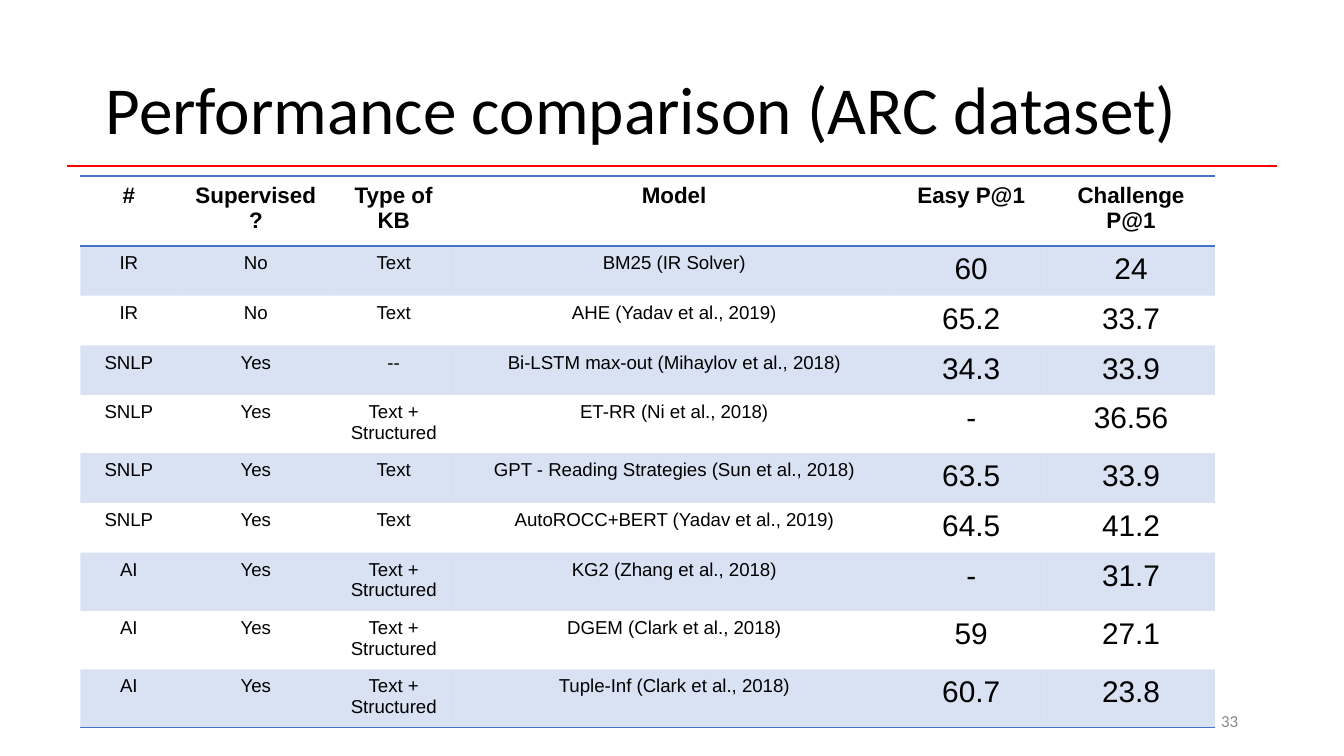
"""Build a slide that compares question answering models on the ARC dataset."""
from lxml import etree
from pptx import Presentation
from pptx import util as u
from pptx.dml.color import RGBColor
from pptx.enum import shapes, text
from pptx.oxml import ns

HUES = {"ink": "000000", "rule": "FF0000", "blue": "4472C4", "grey": "888888"}
PLAIN = "{2D5ABB26-0587-4C30-8999-92F81FD0307C}"
MIX = "Text + Structured"
WIDTHS = [1.83, 2.97, 2.24, 8.36, 2.87, 3.17]
HEAD = ["#", "Supervised ?", "Type of\nKB", "Model", "Easy P@1", "Challenge P@1"]
ROWS = [
    ["IR", "No", "Text", "BM25 (IR Solver)", "60", "24"],
    ["IR", "No", "Text", "AHE (Yadav et al., 2019)", "65.2", "33.7"],
    ["SNLP", "Yes", "--", "Bi-LSTM max-out (Mihaylov et al., 2018)", "34.3", "33.9"],
    ["SNLP", "Yes", MIX, "ET-RR (Ni et al., 2018)", "-", "36.56"],
    ["SNLP", "Yes", "Text", "GPT - Reading Strategies (Sun et al., 2018)", "63.5", "33.9"],
    ["SNLP", "Yes", "Text", "AutoROCC+BERT (Yadav et al., 2019)", "64.5", "41.2"],
    ["AI", "Yes", MIX, "KG2 (Zhang et al., 2018)", "-", "31.7"],
    ["AI", "Yes", MIX, "DGEM (Clark et al., 2018)", "59", "27.1"],
    ["AI", "Yes", MIX, "Tuple-Inf (Clark et al., 2018)", "60.7", "23.8"],
]


def tint(hue):
    """Return the named colour."""
    return RGBColor.from_string(HUES[hue])


def style(frame, size, face, hue, align, bold=False):
    """Format every run of a text frame."""
    for para in frame.paragraphs:
        para.alignment = align
        for run in para.runs:
            run.font.size = u.Pt(size)
            run.font.name = face
            run.font.bold = bold
            run.font.color.rgb = tint(hue)


def add_text(slide, words, box, size, hue, align):
    """Add a text box centred on its height."""
    frame = slide.shapes.add_textbox(*map(u.Cm, box)).text_frame
    frame.word_wrap = True
    frame.vertical_anchor = text.MSO_ANCHOR.MIDDLE
    frame.text = words
    style(frame, size, "Calibri", hue, align)
    return frame


def add_rule(slide, left, right, top):
    """Draw the red rule below the title."""
    rule = slide.shapes.add_connector(
        shapes.MSO_CONNECTOR.STRAIGHT, *map(u.Cm, (left, top, right, top)))
    rule.line.color.rgb = tint("rule")
    rule.line.width = u.Pt(1)
    etree.SubElement(rule._element.spPr, ns.qn("a:effectLst"))


def add_edge(cell, side):
    """Draw a blue border on one side of a cell."""
    edge = etree.SubElement(cell._tc.get_or_add_tcPr(), ns.qn("a:ln" + side), w="12700")
    fill = etree.SubElement(edge, ns.qn("a:solidFill"))
    etree.SubElement(fill, ns.qn("a:srgbClr"), val=HUES["blue"])


def shade(cell, banded):
    """Fill a banded cell with pale blue and leave others clear."""
    if not banded:
        cell.fill.background()
        return
    cell.fill.solid()
    cell.fill.fore_color.rgb = tint("blue")
    hue = cell._tc.tcPr.find(ns.qn("a:solidFill"))[0]
    etree.SubElement(hue, ns.qn("a:alpha"), val="20000")


def add_grid(slide):
    """Add the table of model scores."""
    lines = [HEAD] + ROWS
    last = len(ROWS)
    shape = slide.shapes.add_table(
        len(lines), len(HEAD), *map(u.Cm, (1.52, 3.33, sum(WIDTHS), 10.39)))
    grid = shape.table
    shape._element.find(".//" + ns.qn("a:tableStyleId")).text = PLAIN
    for col, width in zip(grid.columns, WIDTHS):
        col.width = u.Cm(width)
    for r, line in enumerate(lines):
        grid.rows[r].height = u.Cm({0: 1.32, 3: 0.61}.get(r, 0.94))
        for c, words in enumerate(line):
            cell = grid.cell(r, c)
            cell.text_frame.text = words
            size = 12 if r == 0 else 16 if c > 3 else 10
            style(cell.text_frame, size, "Arial", "ink", text.PP_ALIGN.CENTER, r == 0)
            for side in {0: "TB", last: "B"}.get(r, ""):
                add_edge(cell, side)
            shade(cell, r % 2 == 1)


def main():
    """Build and save the slide."""
    deck = Presentation()
    deck.slide_width, deck.slide_height = u.Cm(25.4), u.Cm(14.29)
    slide = deck.slides.add_slide(deck.slide_layouts[6])
    add_rule(slide, 1.27, 24.13, 3.13)
    title = add_text(slide, "Performance comparison (ARC dataset)",
                     (1.75, 0.76, 21.9, 2.76), 36, "ink", text.PP_ALIGN.LEFT)
    title.paragraphs[0].line_spacing = 0.9
    add_text(slide, "33", (17.93, 13.24, 5.72, 0.76), 9, "grey", text.PP_ALIGN.RIGHT)
    add_grid(slide)
    deck.save("out.pptx")


if __name__ == "__main__":
    main()
